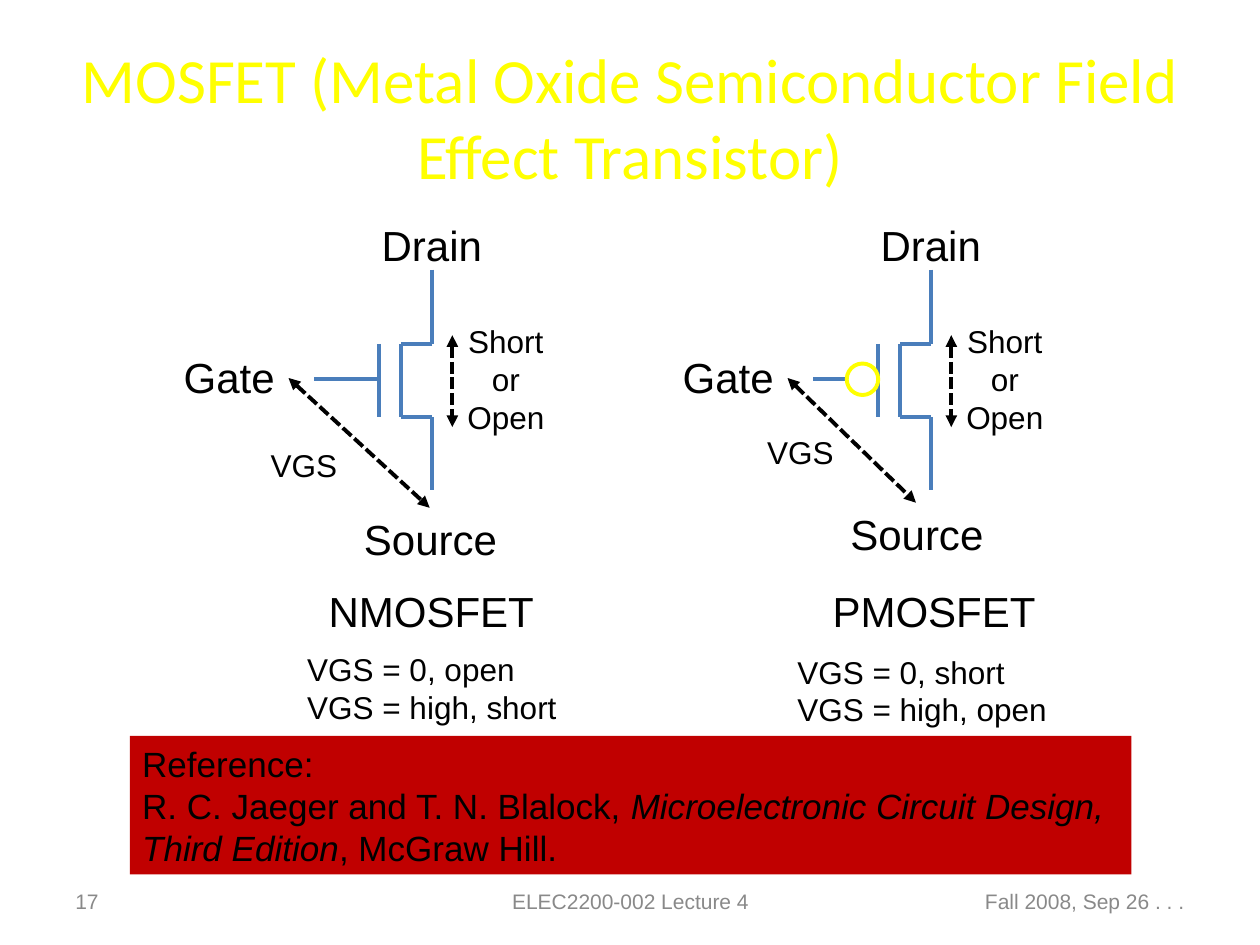
from dataclasses import dataclass

from lxml import etree
from pptx import Presentation
from pptx.dml.color import RGBColor
from pptx.enum.dml import MSO_LINE
from pptx.enum.shapes import MSO_CONNECTOR, MSO_SHAPE
from pptx.enum.text import MSO_ANCHOR, MSO_AUTO_SIZE, PP_ALIGN
from pptx.oxml.ns import qn
from pptx.util import Inches, Pt

STRAIGHT = MSO_CONNECTOR.STRAIGHT
DASH = MSO_LINE.SQUARE_DOT
RECTANGLE, ELLIPSE = MSO_SHAPE.RECTANGLE, MSO_SHAPE.OVAL
TOP, MIDDLE = MSO_ANCHOR.TOP, MSO_ANCHOR.MIDDLE
LEFT, CENTER, RIGHT = PP_ALIGN.LEFT, PP_ALIGN.CENTER, PP_ALIGN.RIGHT
GROW, FIXED = MSO_AUTO_SIZE.SHAPE_TO_FIT_TEXT, MSO_AUTO_SIZE.NONE

SLIDE_WIDTH, SLIDE_HEIGHT = Inches(10), Inches(7.5)
COLUMN, ROW = SLIDE_WIDTH / 100, SLIDE_HEIGHT / 75
BLACK, BLUE, YELLOW, RED, GRAY = "000000", "4A7EBB", "FFFF00", "C00000", "898989"


@dataclass
class Transistor:
    left: float
    top: float
    vgs: tuple
    source: tuple
    facts: tuple
    states: str
    inverted: bool


def color(value):
    return RGBColor.from_string(value)


def cells(left, top, width, height):
    return (round(left * COLUMN), round(top * ROW),
            round(width * COLUMN), round(height * ROW))


def format_text(frame, size, value, alignment=LEFT, font="Arial"):
    for paragraph in frame.paragraphs:
        paragraph.alignment = alignment
        for run in paragraph.runs:
            run.font.size = Pt(size)
            run.font.name = font
            run.font.color.rgb = color(value)


def add_label(slide, box, text, size, alignment=LEFT):
    frame = slide.shapes.add_textbox(*cells(*box)).text_frame
    frame.word_wrap = False
    frame.auto_size = GROW
    frame.text = text
    format_text(frame, size, BLACK, alignment)
    return frame


def add_line(slide, start, end, value=BLUE):
    x1, y1, x2, y2 = cells(*start, *end)
    connector = slide.shapes.add_connector(STRAIGHT, x1, y1, x2, y2)
    connector.line.color.rgb = color(value)
    connector.line.width = Pt(2.25)
    etree.SubElement(connector._element.spPr, qn("a:effectLst"))
    return connector


def add_arrow(slide, start, end):
    line = add_line(slide, start, end, BLACK).line
    line.dash_style = DASH
    for tag in ("a:headEnd", "a:tailEnd"):
        etree.SubElement(line._get_or_add_ln(), qn(tag), type="triangle")


def add_title(slide, box):
    title = slide.shapes.title
    title.left, title.top, title.width, title.height = cells(*box)
    frame = title.text_frame
    frame.text = "MOSFET (Metal Oxide Semiconductor Field Effect Transistor)"
    frame.word_wrap = True
    frame.auto_size = FIXED
    frame.vertical_anchor = MIDDLE
    format_text(frame, 36, YELLOW, CENTER, "Calibri")


def add_transistor(slide, transistor):
    def at(x, y):
        return transistor.left + x, transistor.top + y

    plate, channel, spine = 16.5, 18.2, 20.7
    drain, upper, middle, lower, source = 4.5, 10.4, 13.2, 16.2, 22
    bubble = 2.5
    lead_end = plate - bubble if transistor.inverted else plate
    segments = [
        ((spine, drain), (spine, upper)),
        ((spine, upper), (channel, upper)),
        ((spine, lower), (spine, source)),
        ((plate, upper), (plate, lower)),
        ((channel, upper), (channel, lower)),
        ((spine, lower), (channel, lower)),
        ((lead_end, middle), (11.3, middle)),
    ]
    for start, end in segments:
        add_line(slide, at(*start), at(*end))
    if transistor.inverted:
        box = (*at(lead_end, middle - bubble / 2), bubble, bubble)
        circle = slide.shapes.add_shape(ELLIPSE, *cells(*box))
        circle.shadow.inherit = False
        circle.fill.background()
        circle.line.color.rgb = color(YELLOW)
        circle.line.width = Pt(2.25)

    source_x, source_y = transistor.source
    labels = [
        ("Gate", (0, 10.5), (9.4, 5), 24, LEFT),
        ("Drain", (15.7, 0), (10.2, 5), 24, LEFT),
        ("Source", transistor.source, (12.8, 5), 24, LEFT),
        ("Short\nor\nOpen", (22.4, 8.2), (8.3, 10), 18, CENTER),
        ("VGS", transistor.vgs, (7.5, 4), 18, LEFT),
        (transistor.states, transistor.facts, (22, 7), 18, LEFT),
    ]
    for text, position, size, points, alignment in labels:
        add_label(slide, (*at(*position), *size), text, points, alignment)
    add_arrow(slide, at(22.3, 9.7), at(22.3, 17))
    add_arrow(slide, at(9.3, 13.1), at(source_x + 6.2, source_y))


def add_type_names(slide, box):
    frame = add_label(slide, box, "NMOSFET\tPMOSFET", 24)
    properties = frame.paragraphs[0]._p.get_or_add_pPr()
    tabs = etree.SubElement(properties, qn("a:tabLst"))
    etree.SubElement(tabs, qn("a:tab"), pos=str(round(40 * COLUMN)), algn="l")


def add_reference(slide, box):
    panel = slide.shapes.add_shape(RECTANGLE, *cells(*box))
    panel.shadow.inherit = False
    panel.fill.solid()
    panel.fill.fore_color.rgb = color(RED)
    panel.line.fill.background()
    frame = panel.text_frame
    frame.word_wrap = False
    frame.auto_size = GROW
    frame.vertical_anchor = TOP
    lines = [
        [("Reference:", False)],
        [("R. C. Jaeger and T. N. Blalock, ", False),
         ("Microelectronic Circuit Design,", True)],
        [("Third Edition", True), (", McGraw Hill.", False)],
    ]
    for index, pieces in enumerate(lines):
        paragraph = frame.add_paragraph() if index else frame.paragraphs[0]
        for text, italic in pieces:
            run = paragraph.add_run()
            run.text = text
            run.font.italic = italic
    format_text(frame, 20, BLACK)


def add_footer(slide, top, height):
    parts = [
        ("17", 5, 23.3, LEFT),
        ("ELEC2200-002 Lecture 4", 34.2, 31.7, CENTER),
        ("Fall 2008, Sep 26 . . .", 71.7, 23.3, RIGHT),
    ]
    for text, left, width, alignment in parts:
        box = cells(left, top, width, height)
        frame = slide.shapes.add_textbox(*box).text_frame
        frame.word_wrap = True
        frame.vertical_anchor = MIDDLE
        frame.text = text
        format_text(frame, 12, GRAY, alignment)


def main():
    presentation = Presentation()
    presentation.slide_width, presentation.slide_height = SLIDE_WIDTH, SLIDE_HEIGHT
    slide = presentation.slides.add_slide(presentation.slide_layouts[5])
    add_title(slide, (5, 3, 90, 12.5))
    add_transistor(slide, Transistor(
        13.6, 16.9, (6.9, 18), (14.3, 23.4), (9.8, 34.2),
        "VGS = 0, open\nVGS = high, short", False))
    add_transistor(slide, Transistor(
        53.2, 16.9, (6.7, 17), (13.3, 23), (9.1, 34.4),
        "VGS = 0, short\nVGS = high, open", True))
    add_type_names(slide, (25.1, 46, 58.3, 5))
    add_reference(slide, (10.3, 58.4, 79.5, 11))
    add_footer(slide, 69.5, 4)
    presentation.save("out.pptx")


if __name__ == "__main__":
    main()
